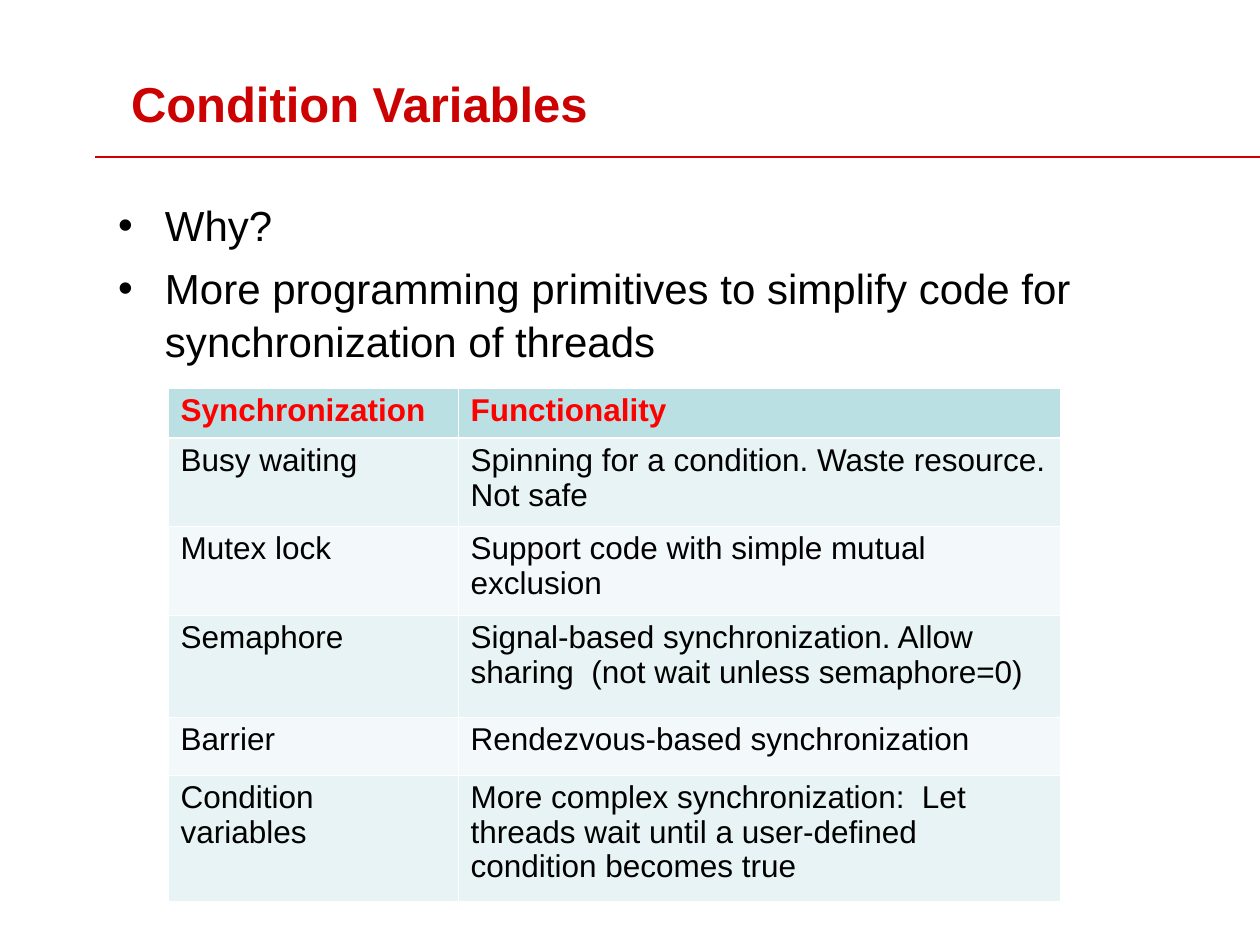
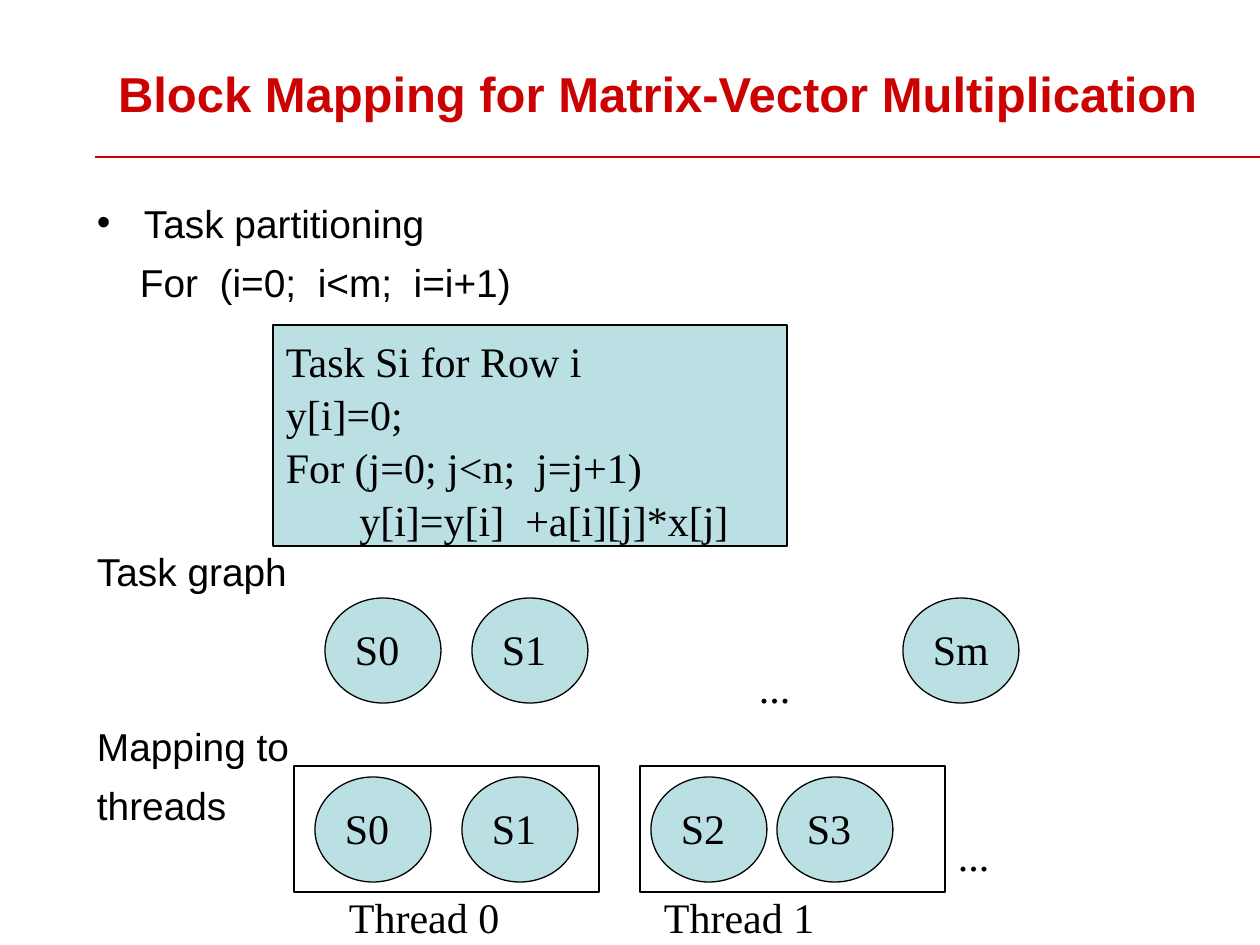
from lxml.etree import SubElement
from pptx import Presentation
from pptx.dml.color import RGBColor
from pptx.enum.shapes import MSO_CONNECTOR as Connector, MSO_SHAPE as Preset
from pptx.enum.text import MSO_ANCHOR as Anchor, MSO_AUTO_SIZE as AutoSize, PP_ALIGN as Align
from pptx.oxml.ns import qn
from pptx.util import Emu, Pt

EMU_PER_PX = 914400 / 126
SLIDE_SIZE = (1260, 945)
LINE_SPACING = 1.05
HANGING = 47
COLORS = {
    "title": "CC0101",
    "text": "000000",
    "header_text": "FF0000",
    "accent": "BBE0E3",
    "odd_row": "E7F3F4",
    "even_row": "F3F9FA",
    "border": "FFFFFF",
}
TITLE_FONT = {"name": "Arial", "size": Pt(28), "bold": True}
BODY_FONT = {"name": "Arial", "size": Pt(24), "bold": False}
SMALL_BODY_FONT = {**BODY_FONT, "size": Pt(22.2)}
CELL_FONT = {**BODY_FONT, "size": Pt(18)}
HEADER_FONT = {**CELL_FONT, "bold": True}
DIAGRAM_FONT = {"name": "Times New Roman", "size": Pt(24), "bold": False}

SYNCHRONIZATION_ROWS = [
    ("Synchronization", "Functionality"),
    ("Busy waiting", "Spinning for a condition. Waste resource. Not safe"),
    ("Mutex lock", "Support code with simple mutual exclusion"),
    ("Semaphore", "Signal-based synchronization. Allow sharing  (not wait unless semaphore=0)"),
    ("Barrier", "Rendezvous-based synchronization"),
    ("Condition variables",
     "More complex synchronization:  Let threads wait until a user-defined condition becomes true"),
]
TASK_CODE = [
    "Task Si for Row i",
    "y[i]=0;",
    "For (j=0; j<n;  j=j+1)",
    "       y[i]=y[i]  +a[i][j]*x[j]",
]


def px(length):
    return Emu(round(length * EMU_PER_PX))


def rgb(color):
    return RGBColor.from_string(COLORS[color])


def apply_format(target, values):
    for name, value in values.items():
        setattr(target, name, value)


def place(shape, box):
    apply_format(shape, dict(zip(("left", "top", "width", "height"), map(px, box))))


def format_frame(frame, wrap=True, right=13):
    apply_format(frame, {
        "auto_size": AutoSize.NONE,
        "word_wrap": wrap,
        "vertical_anchor": Anchor.TOP,
        "margin_left": px(13),
        "margin_right": px(right),
        "margin_top": px(8),
        "margin_bottom": px(6),
    })


def write_paragraph(paragraph, text, font, color="text", before=0, spacing=LINE_SPACING):
    apply_format(paragraph, {
        "alignment": Align.LEFT,
        "line_spacing": spacing,
        "space_before": Pt(before),
        "space_after": Pt(0),
    })
    run = paragraph.add_run()
    run.text = text
    apply_format(run.font, font)
    run.font.color.rgb = rgb(color)


def write_lines(frame, lines, font):
    for index, line in enumerate(lines):
        paragraph = frame.add_paragraph() if index else frame.paragraphs[0]
        write_paragraph(paragraph, line, font)


def set_bullet(paragraph, bulleted, indent):
    properties = paragraph._p.get_or_add_pPr()
    properties.set("marL", str(px(indent)))
    properties.set("indent", str(px(-HANGING if bulleted else 0)))
    if bulleted:
        SubElement(properties, qn("a:buFont"), typeface="Arial")
        SubElement(properties, qn("a:buChar"), char="•")
    else:
        SubElement(properties, qn("a:buNone"))


def add_titled_slide(presentation, title, box):
    slide = presentation.slides.add_slide(presentation.slide_layouts[1])
    place(slide.shapes.title, box)
    frame = slide.shapes.title.text_frame
    format_frame(frame)
    write_paragraph(frame.paragraphs[0], title, TITLE_FONT, "title")
    rule = slide.shapes.add_connector(Connector.STRAIGHT, px(95), px(157), px(1260), px(157))
    rule.line.color.rgb = rgb("title")
    rule.line.width = Pt(1)
    SubElement(rule.element.spPr, qn("a:effectLst"))
    return slide


def fill_body(slide, box, items, font):
    body = slide.placeholders[1]
    place(body, box)
    frame = body.text_frame
    format_frame(frame)
    for index, (text, bulleted, indent, before) in enumerate(items):
        paragraph = frame.add_paragraph() if index else frame.paragraphs[0]
        set_bullet(paragraph, bulleted, indent)
        write_paragraph(paragraph, text, font, before=before)


def add_cell_border(cell, side, width):
    line = SubElement(cell._tc.get_or_add_tcPr(), qn(f"a:ln{side}"), w=str(Pt(width)))
    fill = SubElement(line, qn("a:solidFill"))
    SubElement(fill, qn("a:srgbClr"), val=COLORS["border"])


def add_table(slide, left, top, widths, heights, rows):
    table = slide.shapes.add_table(len(rows), len(widths), px(left), px(top),
                                   px(sum(widths)), px(sum(heights))).table
    for column, width in zip(table.columns, widths):
        column.width = px(width)
    for index, (row, height, texts) in enumerate(zip(table.rows, heights, rows)):
        row.height = px(height)
        header = index == 0
        fill = "accent" if header else "odd_row" if index % 2 else "even_row"
        for cell, text in zip(row.cells, texts):
            for side in "LRTB":
                thick = (index, side) in ((0, "B"), (1, "T"))
                add_cell_border(cell, side, 1.47 if thick else 0.45)
            cell.fill.solid()
            cell.fill.fore_color.rgb = rgb(fill)
            write_paragraph(cell.text_frame.paragraphs[0], text,
                            HEADER_FONT if header else CELL_FONT,
                            "header_text" if header else "text", spacing=0.98)


def add_outlined_shape(slide, preset, box, lines=(), fill=None):
    shape = slide.shapes.add_shape(preset, *map(px, box))
    shape.shadow.inherit = False
    shape.line.color.rgb = rgb("text")
    shape.line.width = Pt(0.75)
    if fill:
        shape.fill.solid()
        shape.fill.fore_color.rgb = rgb(fill)
    else:
        shape.fill.background()
    format_frame(shape.text_frame, right=0)
    write_lines(shape.text_frame, lines, DIAGRAM_FONT)


def add_task(slide, left, top, name):
    add_outlined_shape(slide, Preset.OVAL, (left, top, 116, 105), [name], "accent")


def add_label(slide, left, top, width, text):
    label = slide.shapes.add_textbox(px(left), px(top), px(width), px(63))
    format_frame(label.text_frame, wrap=False)
    write_lines(label.text_frame, [text], DIAGRAM_FONT)


def build_condition_variables(presentation):
    slide = add_titled_slide(presentation, "Condition Variables", (118, 63, 1142, 97))
    fill_body(slide, (105, 189, 1124, 368), [
        ("Why?", True, HANGING, 0),
        ("More programming primitives to simplify code for synchronization of threads",
         True, HANGING, 6),
    ], BODY_FONT)
    add_table(slide, 168, 388, (290, 602), (50, 88, 89, 102, 58, 126), SYNCHRONIZATION_ROWS)


def build_block_mapping(presentation):
    slide = add_titled_slide(presentation, "Block Mapping for Matrix-Vector Multiplication",
                             (105, 53, 1155, 105))
    fill_body(slide, (84, 189, 1103, 640), [
        ("Task partitioning", True, HANGING, 0),
        ("For  (i=0;  i<m;  i=i+1)", False, 43, 6),
        ("Task graph", False, 0, 137),
        ("Mapping to", False, 0, 72),
        ("threads", False, 0, 6),
    ], SMALL_BODY_FONT)
    add_outlined_shape(slide, Preset.RECTANGLE, (273, 325, 514, 221), TASK_CODE, "accent")
    for left, name in ((325, "S0"), (472, "S1"), (903, "Sm")):
        add_task(slide, left, 598, name)
    for left, name in ((315, "S0"), (462, "S1"), (651, "S2"), (777, "S3")):
        add_task(slide, left, 777, name)
    for number, (box_left, label_left) in enumerate(((294, 336), (640, 651))):
        add_outlined_shape(slide, Preset.RECTANGLE, (box_left, 766, 305, 126))
        add_label(slide, label_left, 881, 175, f"Thread {number}")
    for left, top in ((746, 651), (945, 819)):
        add_label(slide, left, top, 57, "...")


def main():
    presentation = Presentation()
    presentation.slide_width, presentation.slide_height = map(px, SLIDE_SIZE)
    build_condition_variables(presentation)
    build_block_mapping(presentation)
    presentation.save("out.pptx")


if __name__ == "__main__":
    main()
